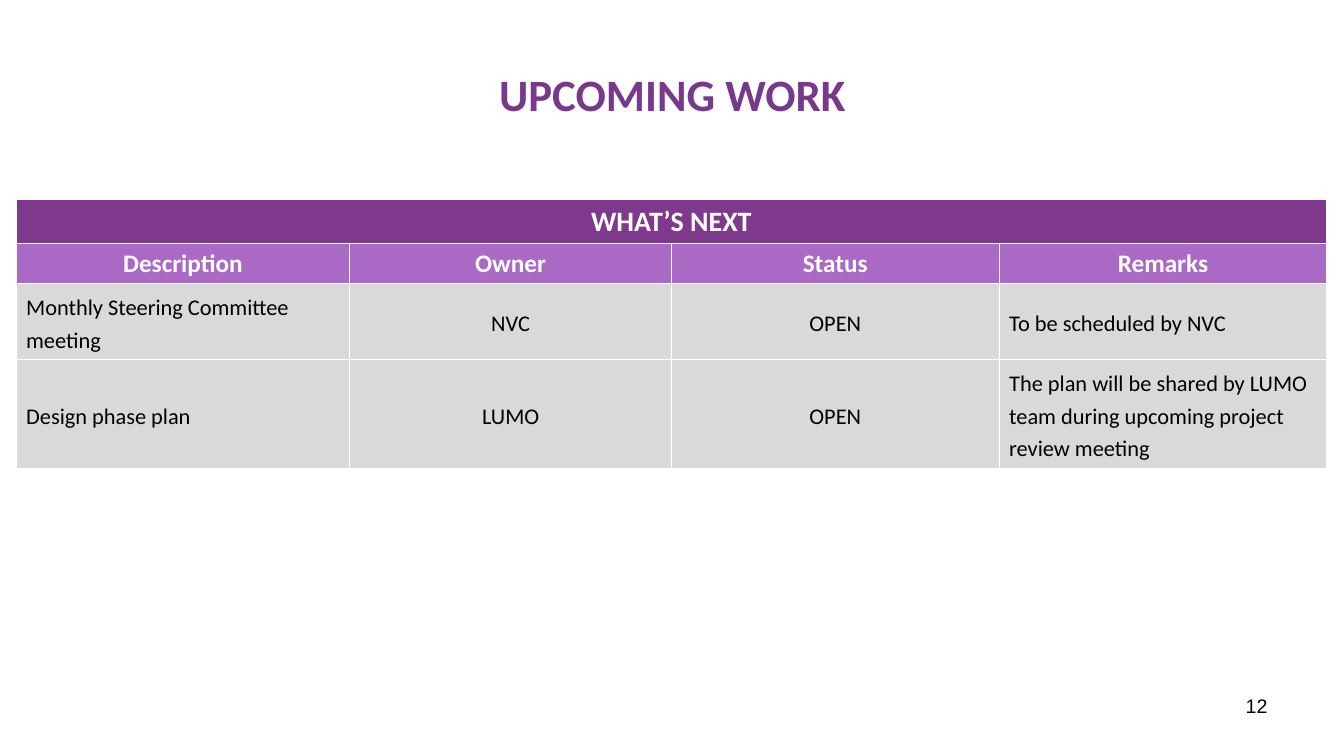
from dataclasses import dataclass

from lxml import etree
from pptx import Presentation
from pptx.dml.color import RGBColor
from pptx.enum.text import MSO_ANCHOR, PP_ALIGN
from pptx.oxml.ns import qn
from pptx.util import Inches, Pt

LEFT, CENTER, RIGHT = PP_ALIGN.LEFT, PP_ALIGN.CENTER, PP_ALIGN.RIGHT
TOP, MIDDLE = MSO_ANCHOR.TOP, MSO_ANCHOR.MIDDLE
TITLE_ONLY = 5

COLORS = {
    "title": "78398D",
    "banner": "7F398C",
    "header": "A969C4",
    "body": "D9D9D9",
    "white": "FFFFFF",
    "black": "000000",
}


@dataclass(frozen=True)
class RowStyle:
    fill: str
    color: str
    size: int
    bold: bool
    anchor: MSO_ANCHOR
    aligns: tuple
    line_spacing: float


@dataclass(frozen=True)
class Row:
    height: float
    style: RowStyle
    texts: tuple


BANNER = RowStyle("banner", "white", 20, True, TOP, (CENTER,) * 4, 1.0)
HEADER = RowStyle("header", "white", 18, True, TOP, (CENTER,) * 4, 1.0)
BODY = RowStyle("body", "black", 16, False, MIDDLE, (LEFT, CENTER, CENTER, LEFT), 1.2)

COLUMN_WIDTHS = (3.31, 3.19, 3.25, 3.25)
ROWS = (
    Row(0.43, BANNER, ("WHAT’S NEXT", "", "", "")),
    Row(0.4, HEADER, ("Description", "Owner", "Status", "Remarks")),
    Row(0.75, BODY, ("Monthly Steering Committee meeting", "NVC", "OPEN",
                     "To be scheduled by NVC")),
    Row(1.08, BODY, ("Design phase plan", "LUMO", "OPEN",
                     "The plan will be shared by LUMO team during upcoming "
                     "project review meeting")),
)


def rgb(name: str) -> RGBColor:
    return RGBColor.from_string(COLORS[name])


def set_text(tf, text: str, size: int, color: str, align: PP_ALIGN,
             bold: bool = False, font: str = "Calibri") -> None:
    tf.text = text
    p = tf.paragraphs[0]
    p.alignment = align
    for r in p.runs:
        r.font.name = font
        r.font.size = Pt(size)
        r.font.bold = bold
        r.font.color.rgb = rgb(color)


def set_borders(cell, color: str, width: float) -> None:
    """Draw all four sides; the line elements must come before the fill."""
    tc_pr = cell._tc.get_or_add_tcPr()
    for i, side in enumerate(("lnL", "lnR", "lnT", "lnB")):
        ln = etree.Element(qn(f"a:{side}"), w=str(Pt(width)))
        fill = etree.SubElement(ln, qn("a:solidFill"))
        etree.SubElement(fill, qn("a:srgbClr"), val=COLORS[color])
        tc_pr.insert(i, ln)


def fill_cell(cell, text: str, style: RowStyle, align: PP_ALIGN) -> None:
    cell.fill.solid()
    cell.fill.fore_color.rgb = rgb(style.fill)
    set_borders(cell, "white", 1)
    cell.vertical_anchor = style.anchor
    if text:
        set_text(cell.text_frame, text, style.size, style.color, align, style.bold)
        cell.text_frame.paragraphs[0].line_spacing = style.line_spacing


def add_title(s, text: str) -> None:
    title = s.shapes.title
    title.left, title.top = Inches(0.67), Inches(0.3)
    title.width, title.height = Inches(12), Inches(1.25)
    title.text_frame.vertical_anchor = MIDDLE
    set_text(title.text_frame, text, 32, "title", CENTER, bold=True)


def add_work_table(s) -> None:
    table = s.shapes.add_table(
        len(ROWS), len(COLUMN_WIDTHS), Inches(0.16), Inches(1.98),
        Inches(sum(COLUMN_WIDTHS)), Inches(sum(row.height for row in ROWS))).table
    for column, width in zip(table.columns, COLUMN_WIDTHS):
        column.width = Inches(width)
    for i, row in enumerate(ROWS):
        table.rows[i].height = Inches(row.height)
        for j, (text, align) in enumerate(zip(row.texts, row.style.aligns)):
            fill_cell(table.cell(i, j), text, row.style, align)
    table.cell(0, 0).merge(table.cell(0, len(COLUMN_WIDTHS) - 1))


def add_page_number(s, number: str) -> None:
    box = s.shapes.add_textbox(Inches(9.56), Inches(6.83), Inches(3.11), Inches(0.52))
    box.text_frame.word_wrap = True
    set_text(box.text_frame, number, 14, "black", RIGHT, font="Arial")


def main() -> None:
    prs = Presentation()
    prs.slide_width, prs.slide_height = Inches(13.33), Inches(7.5)
    s = prs.slides.add_slide(prs.slide_layouts[TITLE_ONLY])
    add_title(s, "UPCOMING WORK")
    add_page_number(s, "12")
    add_work_table(s)
    prs.save("out.pptx")


if __name__ == "__main__":
    main()
